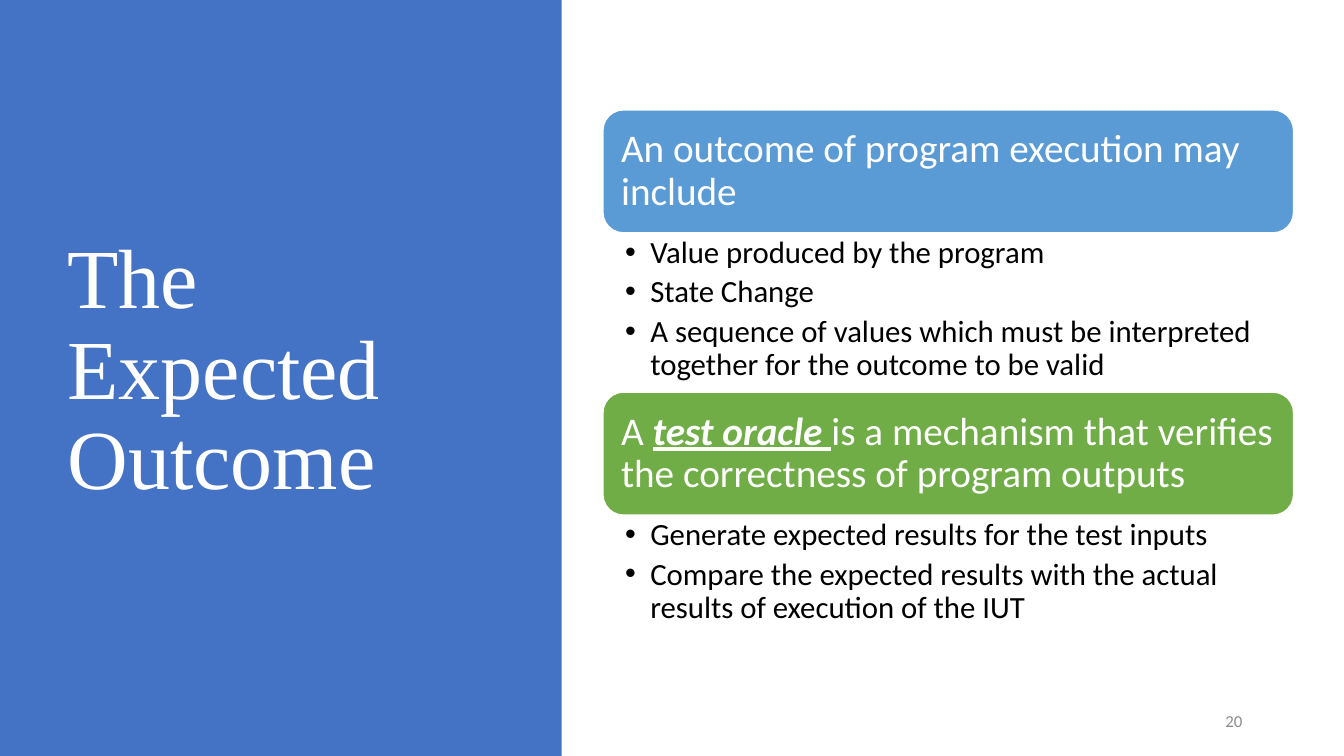
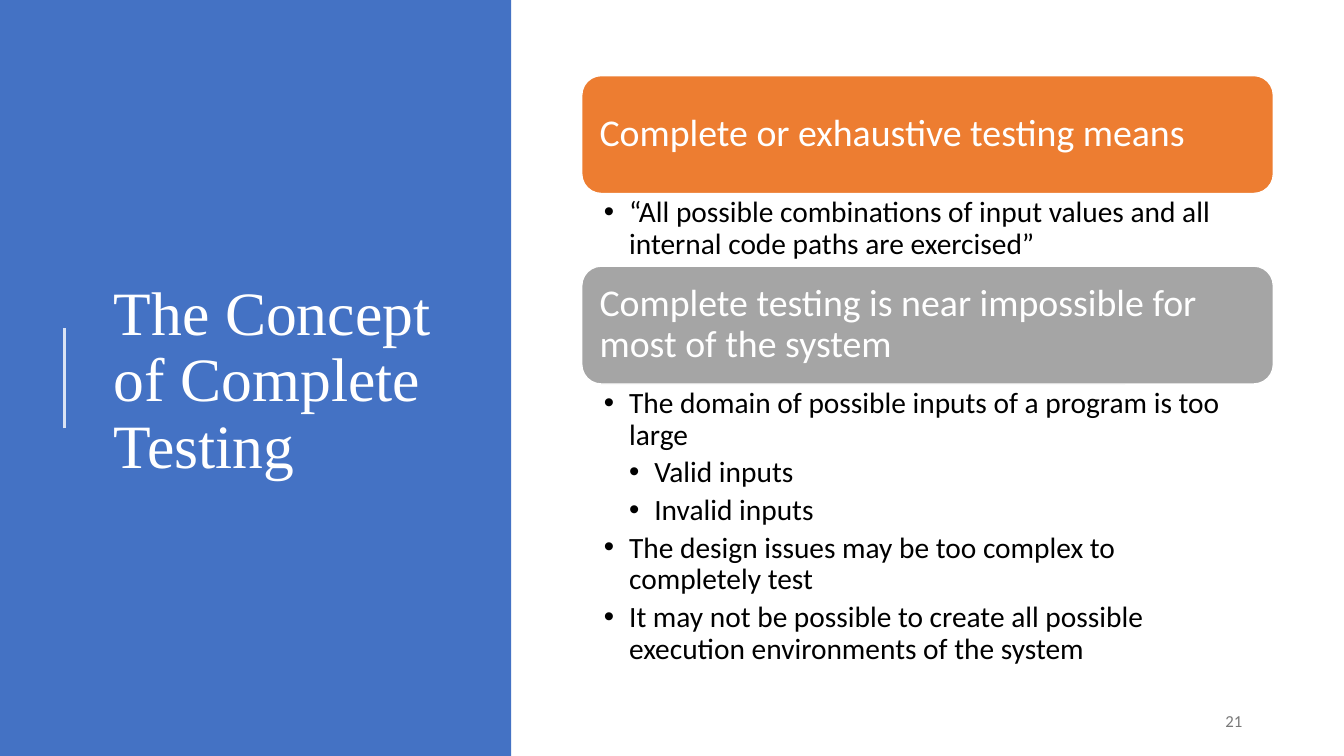
import pptx
import pptx.util
import pptx.dml.color
import pptx.enum.shapes
import pptx.enum.text
import pptx.oxml
import pptx.oxml.ns
from pptx.dml.color import RGBColor
from pptx.util import Inches

WHITE = RGBColor(0xFF, 0xFF, 0xFF)
BLACK = RGBColor(0x00, 0x00, 0x00)
BAND_BLUE = RGBColor(0x44, 0x72, 0xC4)
SKY = RGBColor(0x5B, 0x9B, 0xD5)
GREEN = RGBColor(0x70, 0xAD, 0x47)
ORANGE = RGBColor(0xED, 0x7D, 0x31)
GREY = RGBColor(0xA5, 0xA5, 0xA5)
PALE_BLUE = RGBColor(0xDA, 0xE3, 0xF4)
NUMBER_LIGHT = RGBColor(0x8C, 0x8C, 0x8C)
NUMBER_DARK = RGBColor(0x79, 0x79, 0x79)

TITLE_FONT = "Times New Roman"
BODY_FONT = "Calibri"
PLAIN, STRONG, STRONG_SPACE = (None, None), (True, True), (True, False)
SHAPES = pptx.enum.shapes.MSO_SHAPE
ANCHOR = pptx.enum.text.MSO_ANCHOR
ALIGN = pptx.enum.text.PP_ALIGN


def add_span(para, text, font, size, colour):
    """Add one formatted run to a paragraph and return it."""
    span = para.add_run()
    span.text = text
    span.font.name = font
    span.font.size = pptx.util.Pt(size)
    span.font.color.rgb = colour
    return span


def set_frame(frame, anchor, side=0.1, edge=0.05):
    """Set wrapping, anchor and insets of a text frame."""
    frame.word_wrap = True
    frame.auto_size = pptx.enum.text.MSO_AUTO_SIZE.NONE
    frame.vertical_anchor = anchor
    frame.margin_left = frame.margin_right = Inches(side)
    frame.margin_top = frame.margin_bottom = Inches(edge)


def add_bullet(para, level):
    """Give a paragraph a hanging bullet at the given level."""
    para.level = level
    properties = para._p.get_or_add_pPr()
    properties.set("marL", str(Inches(0.25 * level)))
    properties.set("indent", str(Inches(-0.25)))
    for tag, name, value in (("a:buFont", "typeface", "Arial"), ("a:buChar", "char", "•")):
        bullet = pptx.oxml.parse_xml(f"<{tag} {pptx.oxml.ns.nsdecls('a')}/>")
        bullet.set(name, value)
        properties.append(bullet)


def add_band(page, width):
    """Draw the full-height colour band behind the title."""
    band = page.shapes.add_shape(SHAPES.RECTANGLE, 0, 0, Inches(width), Inches(7.5))
    band.shadow.inherit = False
    band.fill.solid()
    band.fill.fore_color.rgb = BAND_BLUE
    band.line.fill.background()
    page.shapes._spTree.insert(2, band._element)


def set_title(page, text, box, size):
    """Place and format the title placeholder."""
    title = page.shapes.title
    title.left, title.top, title.width, title.height = map(Inches, box)
    set_frame(title.text_frame, ANCHOR.MIDDLE)
    para = title.text_frame.paragraphs[0]
    para.alignment = ALIGN.LEFT
    para.line_spacing = 0.9
    add_span(para, text, TITLE_FONT, size, WHITE)


def add_number(page, number, colour):
    """Write the slide number at the lower right."""
    box = page.shapes.add_textbox(Inches(9.42), Inches(6.95), Inches(3), Inches(0.4))
    set_frame(box.text_frame, ANCHOR.MIDDLE)
    para = box.text_frame.paragraphs[0]
    para.alignment = ALIGN.RIGHT
    add_span(para, number, BODY_FONT, 12, colour)


def add_header(page, box, spans, colour, size):
    """Draw a rounded section header."""
    header = page.shapes.add_shape(SHAPES.ROUNDED_RECTANGLE, *map(Inches, box))
    header.shadow.inherit = False
    header.fill.solid()
    header.fill.fore_color.rgb = colour
    header.line.color.rgb = WHITE
    header.line.width = pptx.util.Pt(1)
    set_frame(header.text_frame, ANCHOR.MIDDLE, 0.12, 0.12)
    para = header.text_frame.paragraphs[0]
    para.alignment = ALIGN.LEFT
    para.line_spacing = 0.9
    for text, (strong, italic) in spans:
        span = add_span(para, text, BODY_FONT, size, WHITE)
        span.font.bold = span.font.underline = strong
        span.font.italic = italic


def add_bullets(page, box, bullets, size):
    """Write the bulleted text under a section header."""
    body = page.shapes.add_textbox(*map(Inches, box))
    frame = body.text_frame
    set_frame(frame, ANCHOR.TOP, 0.22, 0.04)
    for index, (level, text) in enumerate(bullets):
        para = frame.add_paragraph() if index else frame.paragraphs[0]
        para.line_spacing = 0.9
        para.space_after = pptx.util.Pt(round(0.2 * size, 1))
        add_bullet(para, level)
        add_span(para, text, BODY_FONT, size, BLACK)


def add_sections(page, left, top, width, header_height, sizes, sections):
    """Stack headers and their bullets downwards from the given corner."""
    header_size, bullet_size = sizes
    for spans, colour, body_height, bullets in sections:
        add_header(page, (left, top, width, header_height), spans, colour, header_size)
        top += header_height
        add_bullets(page, (left, top, width, body_height), bullets, bullet_size)
        top += body_height


def add_title_rule(page, left, top, height):
    """Draw the short vertical rule beside the title."""
    rule = page.shapes.add_connector(
        pptx.enum.shapes.MSO_CONNECTOR.STRAIGHT,
        Inches(left), Inches(top + height), Inches(left), Inches(top))
    rule.line.color.rgb = PALE_BLUE
    rule.line.width = pptx.util.Pt(1.5)
    rule._element.spPr.append(
        pptx.oxml.parse_xml(f"<a:effectLst {pptx.oxml.ns.nsdecls('a')}/>"))


def add_page(deck, band_width, title, title_box, title_size, number, number_colour):
    """Add a title-only slide with its band, title and number."""
    page = deck.slides.add_slide(deck.slide_layouts[5])
    add_band(page, band_width)
    set_title(page, title, title_box, title_size)
    add_number(page, number, number_colour)
    return page


def build_outcome(deck):
    """Build the slide on expected outcomes."""
    page = add_page(deck, 5.57, "The Expected Outcome", (0.57, 0.68, 4.16, 6.02), 60,
                    "20", NUMBER_LIGHT)
    add_sections(page, 5.98, 1.09, 6.85, 1.22, (28, 22), [
        ([("An outcome of program execution may include", PLAIN)], SKY, 1.58, [
            (1, "Value produced by the program"),
            (1, "State Change"),
            (1, "A sequence of values which must be interpreted together "
                "for the outcome to be valid")]),
        ([("A ", PLAIN), ("test oracle", STRONG), (" ", STRONG_SPACE),
          ("is a mechanism that verifies the correctness of program outputs", PLAIN)],
         GREEN, 1.17, [
            (1, "Generate expected results for the test inputs"),
            (1, "Compare the expected results with the actual results "
                "of execution of the IUT")])])


def build_complete_testing(deck):
    """Build the slide on complete testing."""
    page = add_page(deck, 5.07, "The Concept of Complete Testing", (1.03, 0.78, 3.69, 6.02),
                    44, "21", NUMBER_DARK)
    add_title_rule(page, 0.64, 3.25, 1)
    add_sections(page, 5.77, 0.75, 6.86, 1.17, (27, 21), [
        ([("Complete or exhaustive testing means", PLAIN)], ORANGE, 0.72, [
            (1, "“All possible combinations of input values and all "
                "internal code paths are exercised”")]),
        ([("Complete testing is near impossible for most of the system", PLAIN)], GREY, 2.93, [
            (1, "The domain of possible inputs of a program is too large"),
            (2, "Valid inputs"),
            (2, "Invalid inputs"),
            (1, "The design issues may be too complex to completely test"),
            (1, "It may not be possible to create all possible "
                "execution environments of the system")])])


def main():
    """Build and save the deck."""
    deck = pptx.Presentation()
    deck.slide_width, deck.slide_height = Inches(13.33), Inches(7.5)
    build_outcome(deck)
    build_complete_testing(deck)
    deck.save("out.pptx")


if __name__ == "__main__":
    main()
